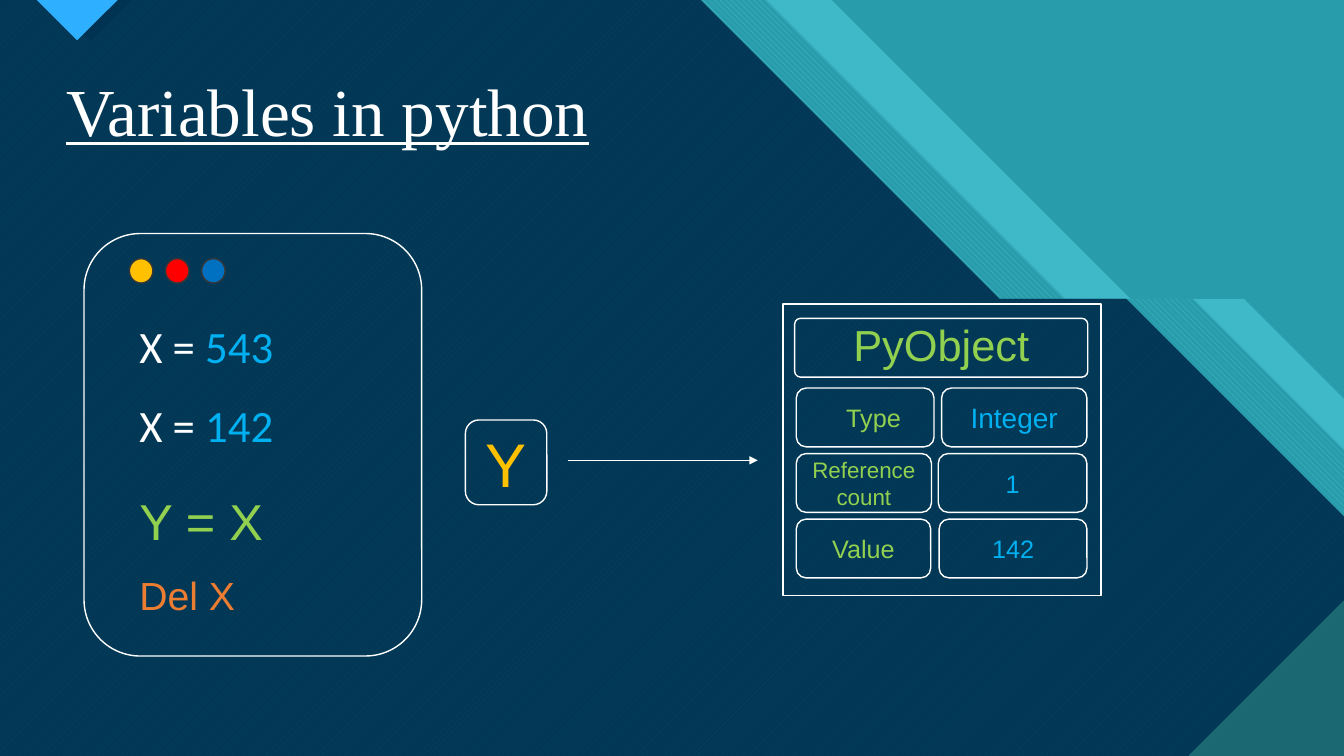
from dataclasses import dataclass
from typing import Optional

import pptx
import pptx.dml.color
import pptx.dml.fill
import pptx.enum.dml
import pptx.enum.shapes
import pptx.enum.text
import pptx.oxml
import pptx.oxml.ns
import pptx.util

WIDTH = pptx.util.Inches(13.333)
HEIGHT = pptx.util.Inches(7.5)
COLUMNS, ROWS = 16, 9
SHELF_ROW = 3.56

WHITE, NAVY, TEAL, AQUA, PINE = "FFFFFF", "003352", "299CAB", "47C3D3", "1B6872"
AZURE, GREEN, BLUE, AMBER = "2FAFFF", "92D050", "00B0F0", "FFC000"

Point = tuple[float, float]
Pattern = pptx.enum.dml.MSO_PATTERN
Kind = pptx.enum.shapes.MSO_SHAPE


@dataclass
class Box:
    column: float
    row: float
    columns: float
    rows: float

    def lengths(self) -> tuple[int, int, int, int]:
        return across(self.column), down(self.row), across(self.columns), down(self.rows)


@dataclass
class Paint:
    color: str
    opacity: int = 100
    pattern: Optional[Pattern] = None
    back: str = ""


@dataclass
class Style:
    size: float
    color: str
    name: str = "Arial"


@dataclass
class CodeLine:
    row: float
    rows: float
    text: str
    style: Style
    value: str = ""


@dataclass
class Field:
    label: str
    value: str
    label_size: float
    value_size: float
    label_columns: float
    value_column: float
    indent: float = 0


CODE_LINES = [
    CodeLine(3.74, 0.77, "X = ", Style(32, WHITE, "Calibri"), "543"),
    CodeLine(4.68, 0.77, "X = ", Style(32, WHITE, "Calibri"), "142"),
    CodeLine(5.77, 0.85, "Y = X", Style(36, GREEN)),
    CodeLine(6.74, 0.68, "Del X", Style(28, "ED7D31")),
]
FIELDS = [
    Field("Type", "Integer", 18, 20, 1.64, 11.21, 0.2),
    Field("Reference\ncount", "1", 16, 18, 1.61, 11.17),
    Field("Value", "142", 18, 18, 1.6, 11.18),
]


def across(columns: float) -> int:
    return round(columns * WIDTH / COLUMNS)


def down(rows: float) -> int:
    return round(rows * HEIGHT / ROWS)


def rgb(color: str) -> pptx.dml.color.RGBColor:
    return pptx.dml.color.RGBColor.from_string(color)


def set_paint(shape, paint: Paint) -> None:
    if paint.pattern is not None:
        shape.fill.patterned()
        shape.fill.pattern = paint.pattern
        shape.fill.fore_color.rgb = rgb(paint.color)
        shape.fill.back_color.rgb = rgb(paint.back)
        return
    shape.fill.solid()
    shape.fill.fore_color.rgb = rgb(paint.color)
    if paint.opacity < 100:
        color = shape.element.xpath("./p:spPr/a:solidFill/a:srgbClr")[0]
        alpha = pptx.oxml.parse_xml(f'<a:alpha {pptx.oxml.ns.nsdecls("a")} val="{paint.opacity * 1000}"/>')
        color.append(alpha)


def add_polygon(slide, points: list[Point], paint: Paint) -> None:
    corners = [(across(column), down(row)) for column, row in points]
    builder = slide.shapes.build_freeform(*corners[0])
    builder.add_line_segments(corners[1:], close=True)
    shape = builder.convert_to_shape()
    shape.shadow.inherit = False
    set_paint(shape, paint)
    shape.line.fill.background()


def add_stepped_area(slide, edge: float, shelf_end: float, paint: Paint) -> None:
    right_row = SHELF_ROW + COLUMNS - shelf_end
    add_polygon(slide, [(0, 0), (edge, 0), (edge + SHELF_ROW, SHELF_ROW), (shelf_end, SHELF_ROW),
                        (COLUMNS, right_row), (COLUMNS, ROWS), (0, ROWS)], paint)


def add_preset(slide, kind: Kind, box: Box, fill: str = "", line: str = WHITE, corner: Optional[float] = None):
    shape = slide.shapes.add_shape(kind, *box.lengths())
    shape.shadow.inherit = False
    if fill:
        set_paint(shape, Paint(fill))
    else:
        shape.fill.background()
    shape.line.color.rgb = rgb(line)
    shape.line.width = pptx.util.Pt(1)
    if corner is not None:
        shape.adjustments[0] = corner
    return shape


def set_font(paragraph, style: Style) -> None:
    paragraph.font.size = pptx.util.Pt(style.size)
    paragraph.font.name = style.name
    paragraph.font.color.rgb = rgb(style.color)


def write_centred(shape, text: str, style: Style, indent: float = 0) -> None:
    frame = shape.text_frame
    frame.text = text
    frame.word_wrap = True
    frame.vertical_anchor = pptx.enum.text.MSO_ANCHOR.MIDDLE
    frame.margin_left = across(indent)
    frame.margin_right = frame.margin_top = frame.margin_bottom = 0
    for paragraph in frame.paragraphs:
        paragraph.alignment = pptx.enum.text.PP_ALIGN.CENTER
        set_font(paragraph, style)


def add_backdrop(slide) -> None:
    add_polygon(slide, [(0, 0), (COLUMNS, 0), (COLUMNS, ROWS), (0, ROWS)], Paint(TEAL))
    add_stepped_area(slide, 9.9, 14.81, Paint(AQUA, opacity=74))
    add_stepped_area(slide, 9.12, 14.21, Paint(AQUA, pattern=Pattern.WIDE_DOWNWARD_DIAGONAL, back=TEAL))
    for paint in (Paint(AQUA, pattern=Pattern.WIDE_UPWARD_DIAGONAL, back=PINE), Paint(NAVY, opacity=90)):
        add_stepped_area(slide, 8.34, 13.41, paint)
    add_polygon(slide, [(0.58, 0), (1.08, 0.49), (1.57, 0)], Paint(NAVY))
    add_polygon(slide, [(0.44, 0), (0.92, 0.48), (1.4, 0)],
                Paint(AZURE, pattern=Pattern.DARK_HORIZONTAL, back=PINE))
    add_polygon(slide, [(14.15, ROWS), (COLUMNS, ROWS), (COLUMNS, 7.15)],
                Paint(PINE, pattern=Pattern.DARK_HORIZONTAL, back=AQUA))


def add_title(slide) -> None:
    title = slide.shapes.title
    title.element.getparent().append(title.element)
    title.left, title.top, title.width, title.height = Box(0.67, 0.46, 13.2, 1.8).lengths()
    title.text_frame.text = "Variables in python"
    title.text_frame.vertical_anchor = pptx.enum.text.MSO_ANCHOR.MIDDLE
    paragraph = title.text_frame.paragraphs[0]
    paragraph.alignment = pptx.enum.text.PP_ALIGN.LEFT
    paragraph.line_spacing = 0.9
    set_font(paragraph, Style(48, WHITE, "Times New Roman"))
    paragraph.font.underline = True


def add_code_panel(slide) -> None:
    add_preset(slide, Kind.ROUNDED_RECTANGLE, Box(1, 2.78, 4.02, 5.03))
    for index, color in enumerate((AMBER, "FF0000", "0070C0")):
        add_preset(slide, Kind.OVAL, Box(1.54 + 0.43 * index, 3.08, 0.28, 0.29), color, "363739")
    for code_line in CODE_LINES:
        box = Box(1.54, code_line.row, 2.2, code_line.rows)
        frame = slide.shapes.add_textbox(*box.lengths()).text_frame
        frame.word_wrap = True
        paragraph = frame.paragraphs[0]
        set_font(paragraph, code_line.style)
        paragraph.add_run().text = code_line.text
        if code_line.value:
            value = paragraph.add_run()
            value.text = code_line.value
            value.font.color.rgb = rgb(BLUE)


def add_reference(slide) -> None:
    name = add_preset(slide, Kind.ROUNDED_RECTANGLE, Box(5.54, 5, 0.97, 1.01))
    write_centred(name, "Y", Style(44, AMBER))
    arrow = slide.shapes.add_connector(pptx.enum.shapes.MSO_CONNECTOR.STRAIGHT,
                                       across(6.76), down(5.48), across(9.02), down(5.48))
    arrow.line.color.rgb = rgb(WHITE)
    arrow.line.width = pptx.util.Pt(0.5)
    namespace = pptx.oxml.ns.nsdecls("a")
    arrow.line._get_or_add_ln().append(pptx.oxml.parse_xml(f'<a:tailEnd {namespace} type="triangle"/>'))
    arrow.element.spPr.append(pptx.oxml.parse_xml(f"<a:effectLst {namespace}/>"))


def add_object_card(slide) -> None:
    add_preset(slide, Kind.RECTANGLE, Box(9.32, 3.62, 3.79, 3.47))
    header = add_preset(slide, Kind.ROUNDED_RECTANGLE, Box(9.46, 3.79, 3.49, 0.7), corner=0.1)
    write_centred(header, "PyObject", Style(31, GREEN))
    header.text_frame.paragraphs[0].line_spacing = 0.9
    for index, field in enumerate(FIELDS):
        row = 4.62 + 0.78 * index
        label = add_preset(slide, Kind.ROUNDED_RECTANGLE, Box(9.48, row, field.label_columns, 0.7))
        write_centred(label, field.label, Style(field.label_size, GREEN), field.indent)
        value_box = Box(field.value_column, row, 12.94 - field.value_column, 0.7)
        value = add_preset(slide, Kind.ROUNDED_RECTANGLE, value_box)
        write_centred(value, field.value, Style(field.value_size, BLUE))


def main() -> None:
    presentation = pptx.Presentation()
    presentation.slide_width, presentation.slide_height = WIDTH, HEIGHT
    slide = presentation.slides.add_slide(presentation.slide_layouts[5])
    add_backdrop(slide)
    add_title(slide)
    add_code_panel(slide)
    add_reference(slide)
    add_object_card(slide)
    presentation.save("out.pptx")


if __name__ == "__main__":
    main()
